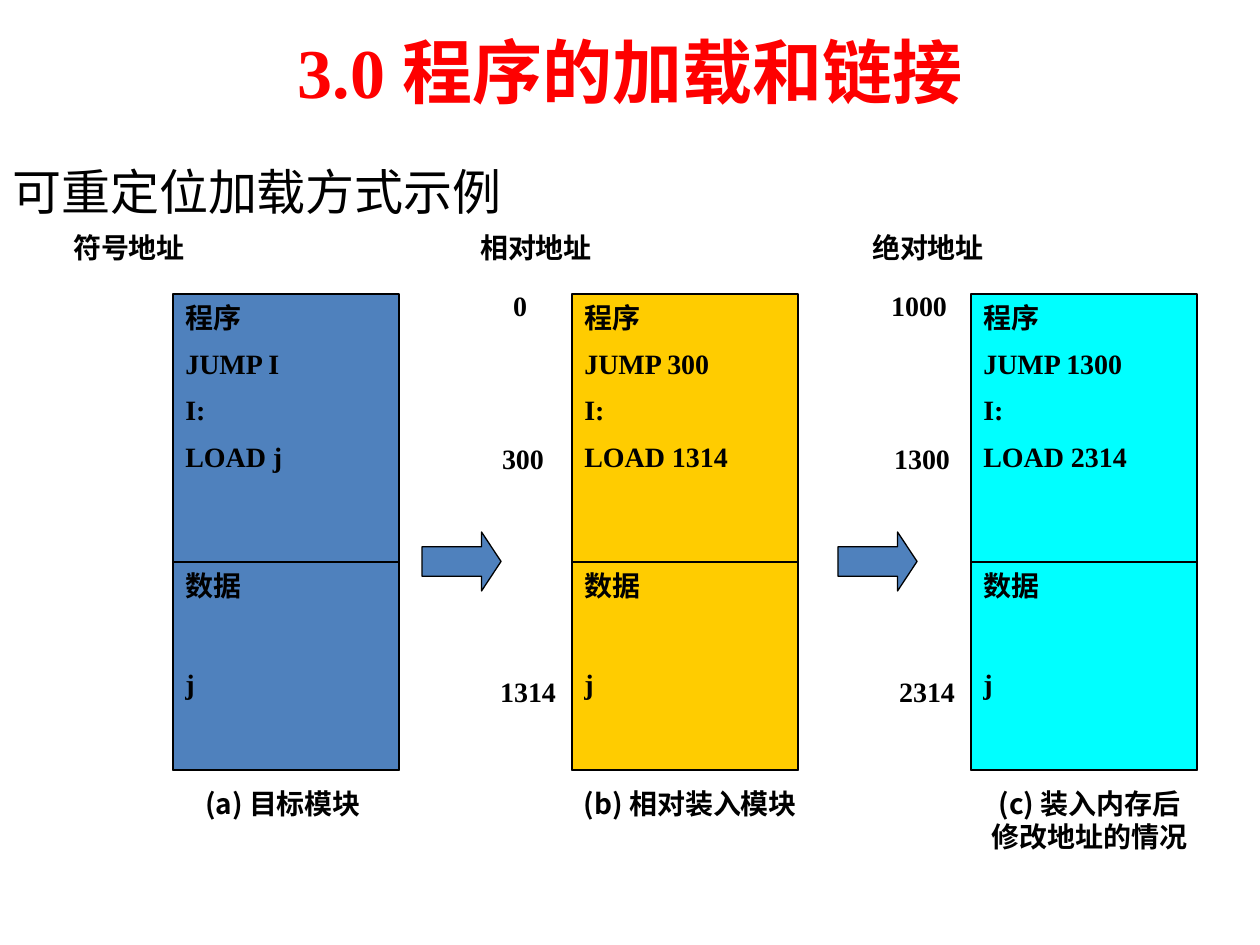
from lxml import etree
from pptx import Presentation
from pptx import util as u
from pptx.dml.color import RGBColor
from pptx.enum import shapes, text
from pptx.oxml import ns

PX = 914400 / 126
SERIF, SANS = "Times New Roman", "Noto Sans CJK SC"


def place(kind, left, top, width, height, fill=None):
    """Add a text box when kind is None, otherwise an outlined preset shape."""
    box = [round(value * PX) for value in (left, top, width, height)]
    if kind is None:
        shape = slide.shapes.add_textbox(*box)
    else:
        shape = slide.shapes.add_shape(kind, *box)
        shape.shadow.inherit = False
        shape.line.color.rgb = RGBColor.from_string("000000")
        shape.line.width = u.Pt(0.75)
        if fill:
            shape.fill.solid()
            shape.fill.fore_color.rgb = RGBColor.from_string(fill)
        else:
            shape.fill.background()
    shape.text_frame.word_wrap = True
    return shape


def write(shape, lines, size=16, font=SERIF, bold=True, color="000000",
          align=text.PP_ALIGN.CENTER, anchor=text.MSO_ANCHOR.TOP, gap=0):
    """Fill the shape with one paragraph per line, gap points apart."""
    frame = shape.text_frame
    frame.vertical_anchor = anchor
    frame.text = "\n".join(lines)
    for index, paragraph in enumerate(frame.paragraphs):
        paragraph.alignment = align
        paragraph.space_before = u.Pt(gap if index else 0)
        paragraph.font.size = u.Pt(size)
        paragraph.font.name = font
        paragraph.font.bold = bold
        paragraph.font.color.rgb = RGBColor.from_string(color)


presentation = Presentation()
presentation.slide_width = round(1260 * PX)
presentation.slide_height = round(945 * PX)
slide = presentation.slides.add_slide(presentation.slide_layouts[6])

title = place(None, 63, 6, 1134, 129)
write(title, ["3.0 程序的加载和链接"], size=40, color="FE0000",
      anchor=text.MSO_ANCHOR.MIDDLE)

topic = place(None, 0, 155, 1134, 70)
paragraph = topic.text_frame.paragraphs[0]
properties = paragraph._p.get_or_add_pPr()
properties.set("marL", str(round(47 * PX)))
properties.set("indent", str(round(-47 * PX)))
etree.SubElement(properties, ns.qn("a:buChar")).set("char", "●")
write(topic, ["可重定位加载方式示例"], size=28, bold=False,
      align=text.PP_ALIGN.LEFT)
paragraph.line_spacing = 0.8

# heading, heading left, fill, jump target, load target, addresses,
# caption, caption width
modules = [
    ("符号地址", 44, "4F81BD", "I", "j", [], ["(a) 目标模块"], 238),
    ("相对地址", 451, "FFCC00", "300", "1314", ["0", "300", "1314"],
     ["(b) 相对装入模块"], 255),
    ("绝对地址", 843, "00FFFF", "1300", "2314", ["1000", "1300", "2314"],
     ["(c) 装入内存后", "修改地址的情况"], 255),
]
address_spots = [(-111, 282), (-108, 435), (-103, 668)]

for index, (heading, heading_left, fill, jump, load, addresses,
            caption, caption_width) in enumerate(modules):
    left = 173 + 399 * index
    program = place(shapes.MSO_SHAPE.RECTANGLE, left, 294, 226, 476, fill)
    write(program, ["程序", f"JUMP {jump}", "I:", f"LOAD {load}"],
          align=text.PP_ALIGN.LEFT, gap=7.3)
    data = place(shapes.MSO_SHAPE.RECTANGLE, left, 562, 226, 208)
    write(data, ["数据", "j"], align=text.PP_ALIGN.LEFT, gap=37)

    write(place(None, heading_left, 224, 170, 59), [heading])
    for (offset, top), address in zip(address_spots, addresses):
        write(place(None, left + offset, top, 118, 59), [address])
    write(place(None, left - 9, 780, caption_width, 59), caption, font=SANS)

for left in (422, 838):
    arrow = place(shapes.MSO_SHAPE.RIGHT_ARROW, left, 532, 79, 59, "4F81BD")
    arrow.adjustments[0] = 0.5
    arrow.adjustments[1] = 0.33

presentation.save("out.pptx")
